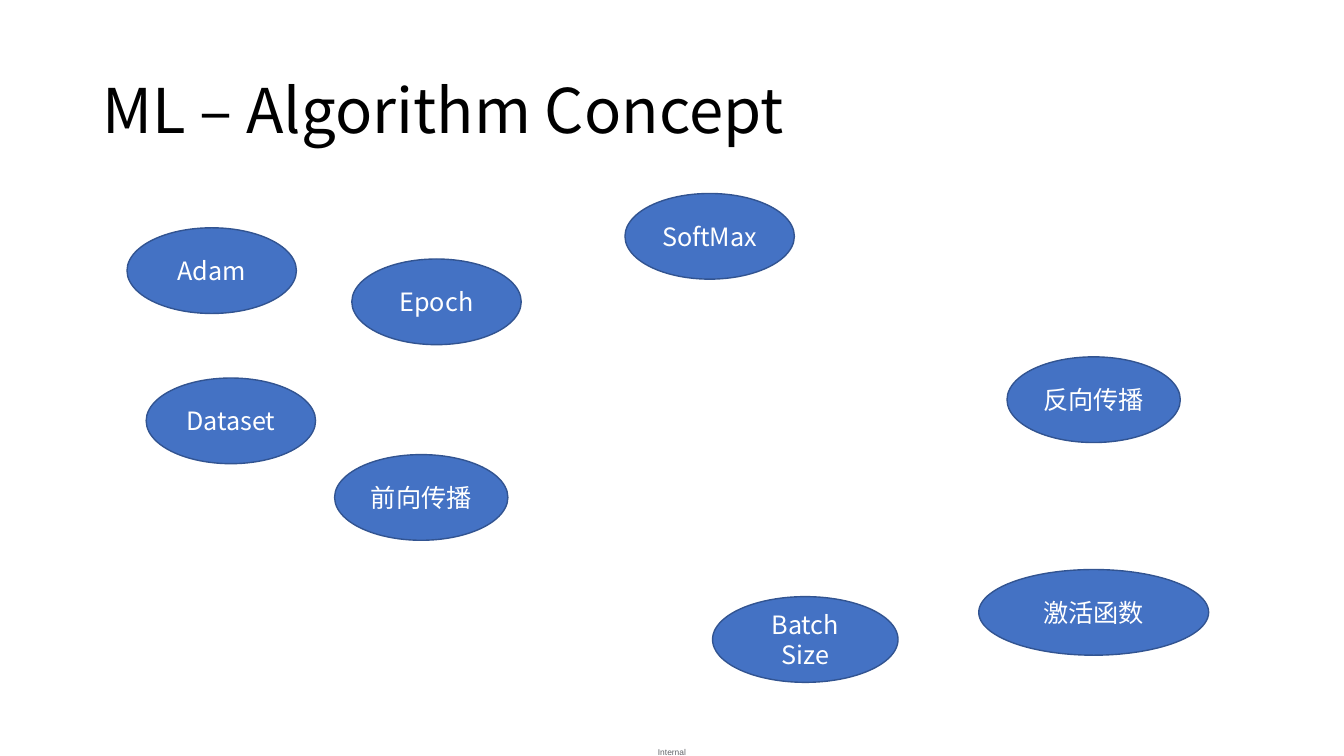
from lxml.etree import SubElement
from pptx import Presentation
from pptx.dml.color import RGBColor
from pptx.enum.shapes import MSO_SHAPE as Shape
from pptx.enum.text import MSO_ANCHOR as Anchor, PP_ALIGN as Align
from pptx.oxml.ns import qn
from pptx.util import Pt

COLORS = {
    "title": "000000",
    "bubble": "4472C4",
    "outline": "325491",
    "label": "FFFFFF",
    "footer": "626469",
}
FONT = "Noto Sans CJK SC"
BUBBLE_HEIGHT = 61.2
CONCEPTS = [
    ("前向传播", 149, 186.7, 123.8),
    ("反向传播", 629.3, 116.9, 123.8),
    ("Batch Size", 419, 288.2, 132.5),
    ("激活函数", 609.1, 268.8, 164.2),
    ("SoftMax", 356.4, 0.2, 121),
    ("Adam", 0.7, 24.7, 121),
    ("Epoch", 161.3, 47, 121),
    ("Dataset", 14.4, 132, 121),
]


def color(name):
    return RGBColor.from_string(COLORS[name])


def write(frame, text, *, size, fill, font=FONT, align=Align.CENTER, spacing=1.0):
    frame.word_wrap = True
    frame.vertical_anchor = Anchor.MIDDLE
    paragraph = frame.paragraphs[0]
    paragraph.alignment = align
    paragraph.line_spacing = spacing
    run = paragraph.add_run()
    run.text = text
    run.font.size = Pt(size)
    run.font.name = font
    run.font.color.rgb = color(fill)
    SubElement(run.font._element, qn("a:ea")).set("typeface", font)


def place_title(slide, left, top, width, height):
    title = slide.shapes.title
    title.left, title.top = Pt(left), Pt(top)
    title.width, title.height = Pt(width), Pt(height)
    write(title.text_frame, "ML – Algorithm Concept", size=44, fill="title",
          align=Align.LEFT, spacing=0.9)


def place_concepts(slide, left, top):
    for concept, across, down, width in CONCEPTS:
        bubble = slide.shapes.add_shape(
            Shape.OVAL, Pt(left + across), Pt(top + down), Pt(width), Pt(BUBBLE_HEIGHT))
        bubble.shadow.inherit = False
        bubble.fill.solid()
        bubble.fill.fore_color.rgb = color("bubble")
        bubble.line.color.rgb = color("outline")
        bubble.line.width = Pt(1)
        write(bubble.text_frame, concept, size=18, fill="label")


def place_footer(slide, left, top, width, height):
    footer = slide.shapes.add_textbox(Pt(left), Pt(top), Pt(width), Pt(height))
    frame = footer.text_frame
    frame.margin_left = frame.margin_right = frame.margin_top = frame.margin_bottom = 0
    write(frame, "Internal", size=6, fill="footer", font="Arial")


def main():
    deck = Presentation()
    deck.slide_width, deck.slide_height = Pt(960), Pt(540)
    slide = deck.slides.add_slide(deck.slide_layouts[5])
    place_footer(slide, 462, 530, 36, 14.4)
    place_title(slide, 66, 28.8, 828, 104.4)
    place_concepts(slide, 90, 138)
    deck.save("out.pptx")


if __name__ == "__main__":
    main()
